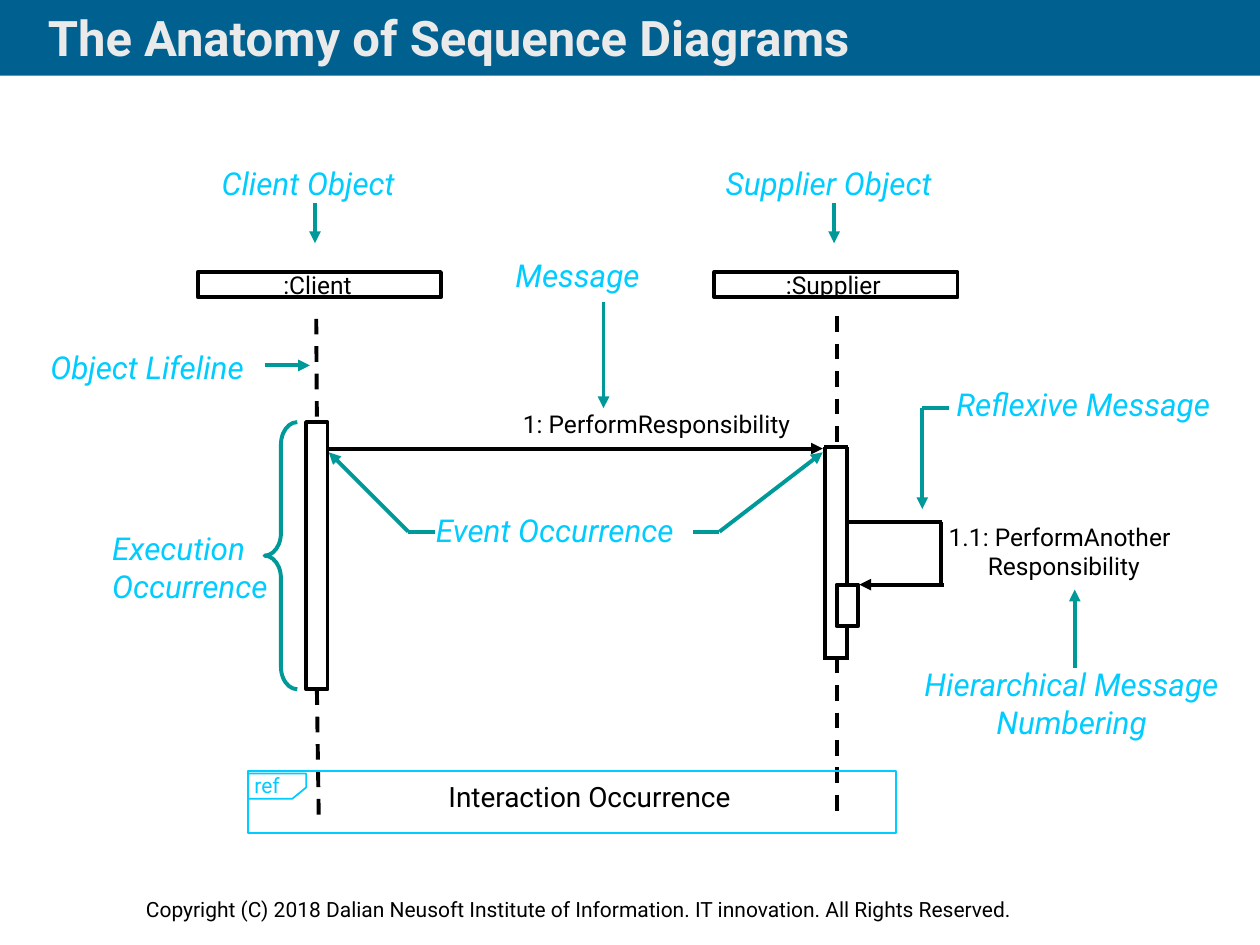
from pptx import Presentation
from pptx.util import Inches, Pt
from pptx.dml.color import RGBColor as RGB
from pptx.enum.dml import MSO_LINE as Dash
from pptx.enum.shapes import MSO_CONNECTOR as Conn, MSO_SHAPE as Shape
from pptx.enum.text import MSO_ANCHOR as Anchor, MSO_AUTO_SIZE as Auto, PP_ALIGN as Align
from pptx.oxml.ns import qn
from lxml.etree import SubElement as Sub

FONT = "Roboto"
BLACK, TEAL, CYAN = "000000", "009999", "00CCFF"


def paint(target, color):
    """Give a font, fill or line its colour."""
    target.color.rgb = RGB.from_string(color)


def style(font, size, color, bold=False, italic=False, under=False):
    font.name, font.size = FONT, Pt(size)
    font.bold, font.italic, font.underline = bold, italic, under
    paint(font, color)


def text(slide, lines, x, y, w, h, size=14, color=BLACK, align=Align.LEFT,
         wrap=False, space=None, pad=0, **look):
    box = slide.shapes.add_textbox(Inches(x), Inches(y), Inches(w), Inches(h))
    frame = box.text_frame
    frame.word_wrap, frame.auto_size = wrap, Auto.SHAPE_TO_FIT_TEXT
    frame.margin_left = frame.margin_right = Inches(pad)
    frame.margin_top = frame.margin_bottom = Inches(pad / 2)
    for i, line in enumerate(lines):
        para = frame.add_paragraph() if i else frame.paragraphs[0]
        para.alignment = align
        if space:
            para.line_spacing = Pt(space)
        for j, part in enumerate(line.split("\n")):
            if j:
                para.add_line_break()
            run = para.add_run()
            run.text = part
            style(run.font, size, color, **look)
    return box


def note(slide, lines, x, y, w, h=0.3, align=Align.LEFT):
    """Cyan italic callout."""
    text(slide, lines, x, y, w, h, 18, CYAN, align, italic=True)


def call(slide, line, x, y, w, h):
    """Message label with a hanging indent."""
    box = text(slide, [line], x, y, w, h, wrap=True)
    props = box.text_frame.paragraphs[0]._p.get_or_add_pPr()
    props.set("marL", str(Inches(0.31)))
    props.set("indent", str(Inches(-0.31)))


def edge(shape, color=BLACK, width=2.25):
    """Outline only, without shadow."""
    shape.shadow.inherit = False
    shape.fill.background()
    paint(shape.line, color)
    shape.line.width = Pt(width)


def shape(slide, x, y, w, h, color=BLACK, width=2.25, kind=Shape.RECTANGLE):
    item = slide.shapes.add_shape(kind, Inches(x), Inches(y), Inches(w), Inches(h))
    edge(item, color, width)
    return item


def line(slide, x1, y1, x2, y2, color=BLACK, arrow=False, dash=False):
    item = slide.shapes.add_connector(
        Conn.STRAIGHT, Inches(x1), Inches(y1), Inches(x2), Inches(y2))
    paint(item.line, color)
    item.line.width = Pt(2.25)
    if dash:
        item.line.dash_style = Dash.DASH
    if arrow:
        Sub(item.line._get_or_add_ln(), qn("a:tailEnd"), type="triangle")
    Sub(item._element.spPr, qn("a:effectLst"))
    return item


def head(slide):
    """Title on its band."""
    band = shape(slide, 0, 0, 10, 0.6)
    band.fill.solid()
    band.fill.fore_color.rgb = RGB.from_string("006191")
    band.line.fill.background()
    title = slide.shapes.title
    band._element.addnext(title._element)
    title.left, title.top = Inches(0.28), Inches(0)
    title.width, title.height = Inches(8.03), Inches(0.59)
    frame = title.text_frame
    frame.auto_size, frame.vertical_anchor = Auto.NONE, Anchor.MIDDLE
    para = frame.paragraphs[0]
    para.alignment = Align.LEFT
    run = para.add_run()
    run.text = "The Anatomy of Sequence Diagrams"
    style(run.font, 28, "EAEAEA", bold=True)


def roles(slide):
    """Object boxes, lifelines and activation bars."""
    for name, x, tx, tw in [(":Client", 1.57, 2.24, 0.56),
                            (":Supplier", 5.67, 6.23, 0.77)]:
        shape(slide, x, 2.16, 1.93, 0.2)
        text(slide, [name], tx, 2.14, tw, 0.24, align=Align.CENTER, under=True)

    bar = shape(slide, 2.43, 3.35, 0.17, 2.12)
    line(slide, 2.51, 2.53, 2.51, 3.35, dash=True).end_connect(bar, 0)
    line(slide, 2.51, 5.47, 2.53, 6.5, dash=True).begin_connect(bar, 2)
    line(slide, 6.64, 2.51, 6.64, 3.54, dash=True)
    line(slide, 6.64, 5.22, 6.64, 6.5, dash=True)

    # Supplier bar, open where the nested bar sits
    shape(slide, 6.64, 4.64, 0.17, 0.33)
    for ends in [(6.55, 5.22, 6.73, 5.22), (6.55, 3.55, 6.55, 5.24),
                 (6.54, 3.55, 6.73, 3.55), (6.72, 4.98, 6.72, 5.24),
                 (6.72, 3.55, 6.72, 4.63)]:
        line(slide, *ends)


def calls(slide):
    """Messages between the objects."""
    call(slide, "1: PerformResponsibility", 4.15, 3.25, 3.1, 0.24)
    line(slide, 2.6, 3.56, 6.53, 3.56, arrow=True)
    call(slide, "1.1: PerformAnother\nResponsibility", 7.53, 4.14, 2.1, 0.47)
    line(slide, 6.71, 4.14, 7.48, 4.14)
    line(slide, 7.47, 4.14, 7.47, 4.65)
    line(slide, 7.49, 4.64, 6.82, 4.64, arrow=True)


def notes(slide):
    """Callouts with their pointers."""
    for name, x, y, w in [
            ("Client Object", 1.76, 1.3, 1.44), ("Supplier Object", 5.76, 1.3, 1.73),
            ("Message", 4.09, 2.03, 1.02), ("Reflexive Message", 7.59, 3.06, 2.13),
            ("Object Lifeline", 0.4, 2.76, 1.6), ("Event Occurrence", 3.46, 4.06, 2.02)]:
        note(slide, [name], x, y, w)
    note(slide, ["Execution", "Occurrence"], 0.89, 4.2, 1.3, 0.61)
    note(slide, ["Hierarchical Message", "Numbering"], 7.29, 5.28, 2.43, 0.61,
         Align.CENTER)

    for ends in [(2.5, 1.61, 2.5, 1.93), (6.62, 1.61, 6.62, 1.93),
                 (4.79, 2.4, 4.79, 3.24), (7.32, 3.24, 7.32, 4.04),
                 (2.1, 2.9, 2.46, 2.9), (8.53, 5.3, 8.53, 4.68),
                 (5.71, 4.22, 6.53, 3.59), (3.24, 4.22, 2.61, 3.59)]:
        line(slide, *ends, TEAL, arrow=True)
    for ends in [(3.45, 4.22, 3.24, 4.22), (5.71, 4.22, 5.5, 4.22),
                 (7.53, 3.24, 7.32, 3.24)]:
        line(slide, *ends, TEAL)
    brace = shape(slide, 2.1, 3.35, 0.26, 2.12, TEAL, kind=Shape.LEFT_BRACE)
    brace.adjustments[0], brace.adjustments[1] = 0.69, 0.5


def ref(slide):
    """Interaction frame with its corner tab."""
    shape(slide, 1.97, 6.12, 5.14, 0.49, CYAN, 1)
    text(slide, ["Interaction Occurrence"], 3.56, 6.27, 2.27, 0.18, 16, space=13)
    pen = slide.shapes.build_freeform(Inches(1.97), Inches(6.34), 1)
    pen.add_line_segments([(Inches(x), Inches(y)) for x, y in [
        (1.97, 6.14), (2.43, 6.14), (2.43, 6.25), (2.32, 6.34)]], close=True)
    edge(pen.convert_to_shape(), CYAN, 1)
    text(slide, ["ref"], 2.02, 6.15, 0.36, 0.18, 12, CYAN, wrap=True, space=13)


def main():
    deck = Presentation()
    deck.slide_width, deck.slide_height = Inches(10), Inches(7.5)
    slide = deck.slides.add_slide(deck.slide_layouts[5])
    head(slide)
    roles(slide)
    calls(slide)
    notes(slide)
    ref(slide)
    text(slide, ["Copyright (C) 2018 Dalian Neusoft Institute of Information. "
                 "IT innovation. All Rights Reserved."],
         1.06, 7.07, 8.28, 0.3, 12, pad=0.1)
    deck.save("out.pptx")


if __name__ == "__main__":
    main()
